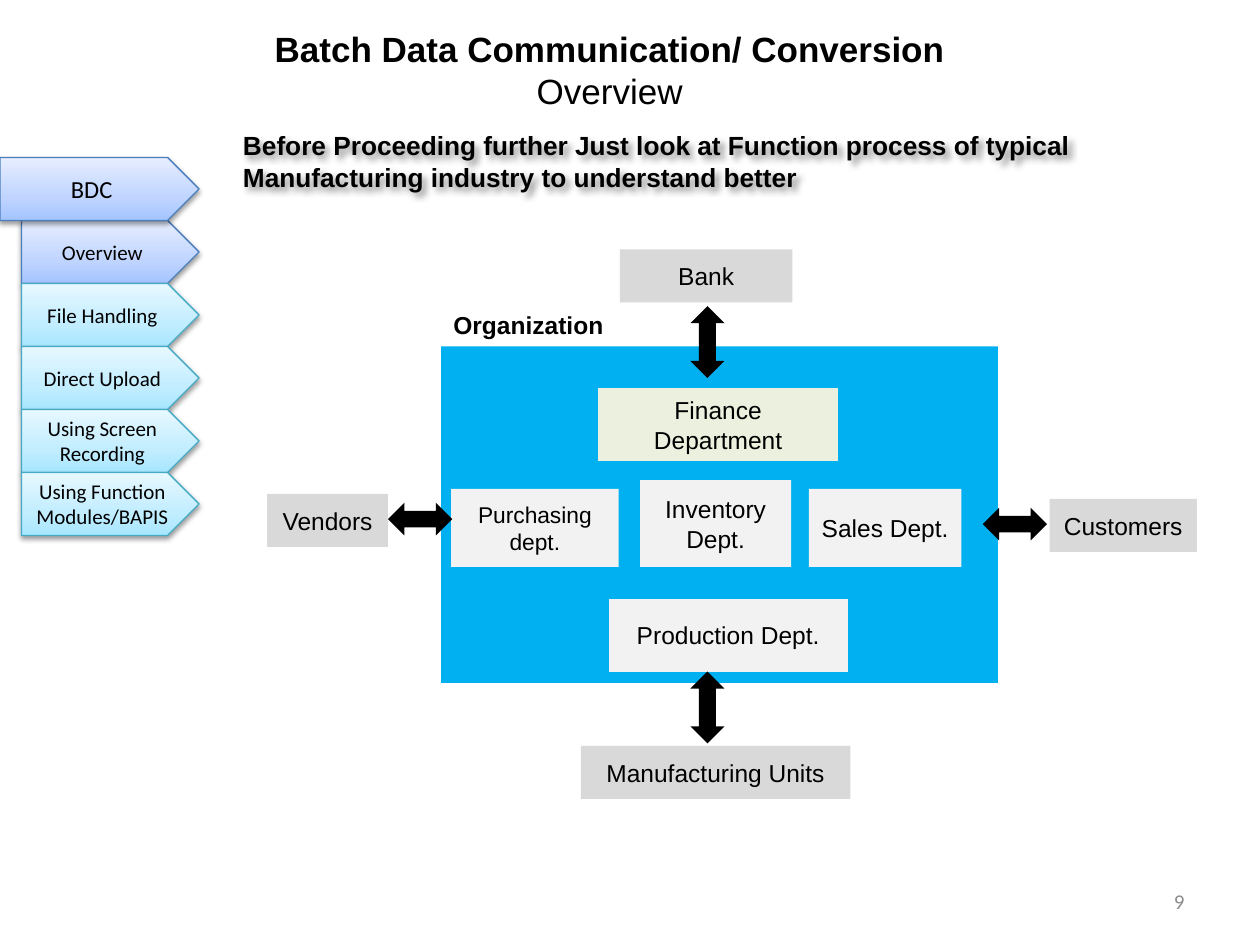
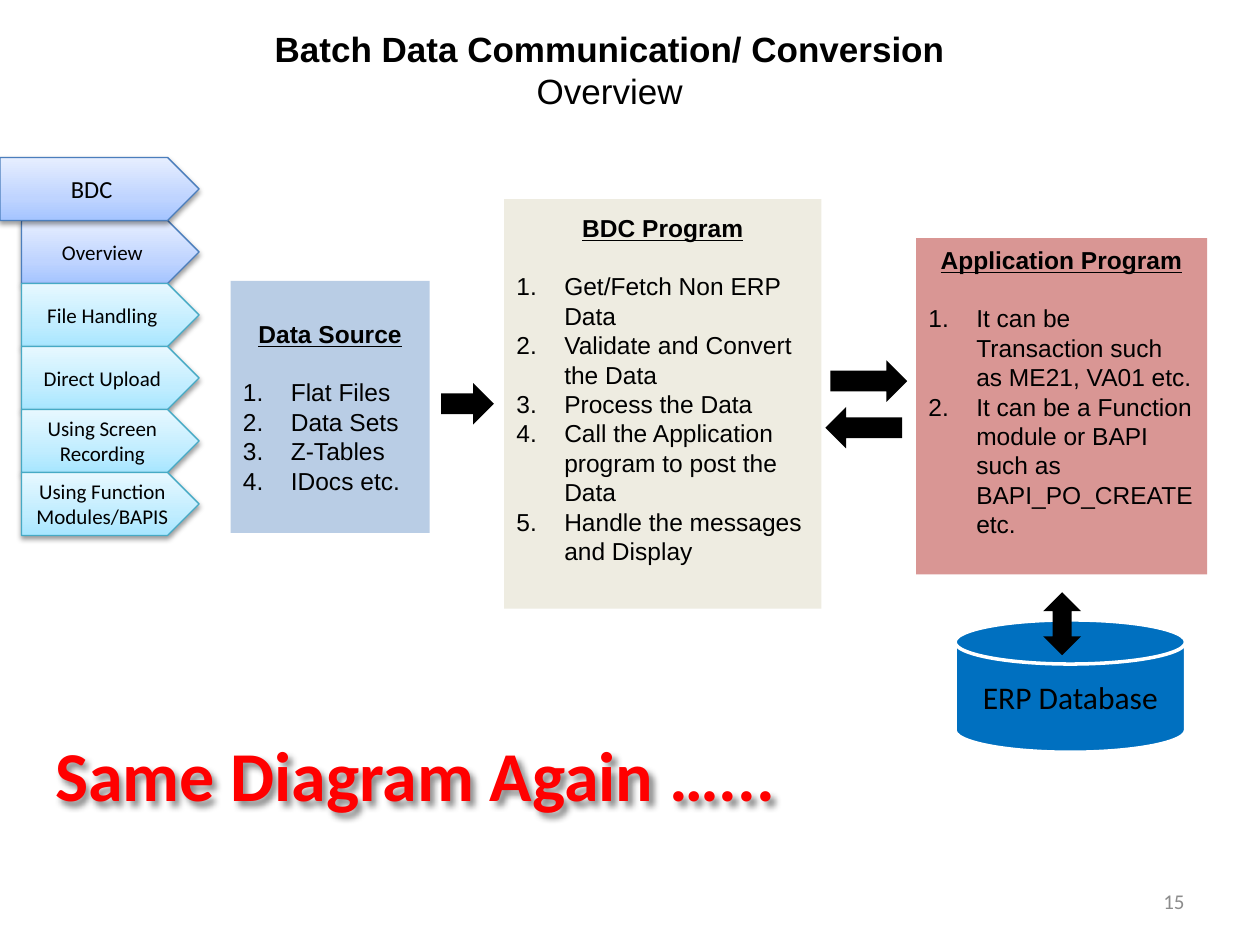
from collections import namedtuple

from lxml import etree
from pptx import Presentation
from pptx.dml.color import RGBColor
from pptx.enum.shapes import MSO_SHAPE
from pptx.enum.text import MSO_ANCHOR, PP_ALIGN
from pptx.oxml import parse_xml
from pptx.oxml.ns import nsdecls, qn
from pptx.util import Inches, Pt

Box = namedtuple("Box", "left top width height")

BLACK, WHITE, RED, GREY = "000000", "FFFFFF", "FF0000", "8C8C8C"
PARTNER, DEPARTMENT, FINANCE, ORGANIZATION = "D9D9D9", "F2F2F2", "EBF1DE", "00B0F0"
SOURCE, PROGRAM, APPLICATION, DATABASE = "B9CDE5", "EEECE1", "D99694", "0070C0"
ACTIVE = {"stops": ("A4C4FF", "BFD4FF", "E6EEFF"), "edge": "4B7EBC"}
PENDING = {"stops": ("A7E6FF", "C1EDFF", "E7F8FF"), "edge": "46AAC5"}
STOP_POSITIONS = (0, 35, 100)

LABEL = {"name": "Arial", "size": Pt(14), "bold": False}
HEADING = {**LABEL, "bold": True}
UNDERLINED = {**HEADING, "underline": True}
TITLE = {**HEADING, "size": Pt(20)}
SUBTITLE = {**TITLE, "bold": False}
LEAD = {**HEADING, "size": Pt(15)}
SMALL_LABEL = {**LABEL, "size": Pt(13)}
TAB = {"name": "Calibri", "size": Pt(12)}
MAIN_TAB = {**TAB, "size": Pt(14)}
DATABASE_LABEL = {**TAB, "size": Pt(18)}
CLOSING = {**TAB, "size": Pt(40), "bold": True}

LINE = 0.23
LIST_INDENT = Inches(0.38)
CONTENTS = ("Overview", "File Handling", "Direct Upload",
            "Using Screen Recording", "Using Function Modules/BAPIS")


def rgb(value):
    return RGBColor.from_string(value)


def inside(box, left, top, width, height):
    """Turn offsets from the corner of a box into a box on the slide."""
    return Box(box.left + left, box.top + top, width, height)


def write(frame, text, style, align=PP_ALIGN.CENTER, color=BLACK):
    """Fill the empty first paragraph, or append one, and return it."""
    first = frame.paragraphs[0]
    paragraph = frame.add_paragraph() if first.runs else first
    paragraph.text = text
    paragraph.alignment = align
    for run in paragraph.runs:
        run.font.color.rgb = rgb(color)
        for attribute, value in style.items():
            setattr(run.font, attribute, value)
    return paragraph


def add_text_box(slide, box, wrap=True):
    text_box = slide.shapes.add_textbox(*map(Inches, box))
    text_box.text_frame.word_wrap = wrap
    return text_box


def add_block(slide, preset, box, fill, text="", style=LABEL):
    block = slide.shapes.add_shape(preset, *map(Inches, box))
    block.shadow.inherit = False
    block.fill.solid()
    block.fill.fore_color.rgb = rgb(fill)
    block.line.fill.background()
    block.text_frame.word_wrap = True
    block.text_frame.vertical_anchor = MSO_ANCHOR.MIDDLE
    if text:
        write(block.text_frame, text, style)
    return block


def add_shadow(shape, blur, distance, angle, alpha):
    properties = shape._element.spPr
    for effects in properties.findall(qn("a:effectLst")):
        properties.remove(effects)
    properties.append(parse_xml(
        f'<a:effectLst {nsdecls("a")}><a:outerShdw blurRad="{Pt(blur)}" '
        f'dist="{Pt(distance)}" dir="{angle * 60000}" algn="tl" rotWithShape="0">'
        f'<a:srgbClr val="{BLACK}"><a:alpha val="{alpha * 1000}"/></a:srgbClr>'
        '</a:outerShdw></a:effectLst>'))


def set_gradient(shape, colors):
    """Shade from the first colour at the bottom to the last at the top."""
    stops = "".join(
        f'<a:gs pos="{position * 1000}"><a:srgbClr val="{color}"/></a:gs>'
        for position, color in zip(STOP_POSITIONS, colors))
    solid = shape._element.spPr.find(qn("a:solidFill"))
    solid.getparent().replace(solid, parse_xml(
        f'<a:gradFill {nsdecls("a")} rotWithShape="1"><a:gsLst>{stops}</a:gsLst>'
        '<a:lin ang="16200000" scaled="0"/></a:gradFill>'))


def add_tab(slide, box, text, palette, style=TAB):
    tab = add_block(slide, MSO_SHAPE.PENTAGON, box, palette["stops"][0], text, style)
    set_gradient(tab, palette["stops"])
    tab.line.color.rgb = rgb(palette["edge"])
    tab.line.width = Pt(0.75)
    add_shadow(tab, 3.1, 1.6, 90, 38)


def add_contents(slide, box, indent=0.17):
    """Stack the topic tabs below the main tab, which overlaps the first."""
    step = box.height / (len(CONTENTS) + 1)
    for row, topic in enumerate(CONTENTS, start=1):
        add_tab(slide, inside(box, indent, row * step, box.width - indent, step),
                topic, ACTIVE if row == 1 else PENDING)
        if row == 1:
            add_tab(slide, box._replace(height=step), "BDC", ACTIVE, MAIN_TAB)


def add_title(slide, box):
    frame = add_text_box(slide, box, wrap=False).text_frame
    write(frame, "Batch Data Communication/ Conversion", TITLE)
    write(frame, "Overview", SUBTITLE)


def add_page_number(slide, box, number):
    frame = add_text_box(slide, box).text_frame
    frame.vertical_anchor = MSO_ANCHOR.MIDDLE
    write(frame, str(number), TAB, PP_ALIGN.RIGHT, GREY)


def add_base_slide(deck, number):
    slide = deck.slides.add_slide(deck.slide_layouts[6])
    add_title(slide, Box(2.06, 0.17, 5.56, 0.77))
    add_page_number(slide, Box(7.17, 6.95, 2.33, 0.4), number)
    add_contents(slide, Box(0, 1.25, 1.58, 3))
    return slide


def add_statement(slide, box, text, style, color=BLACK, wrap=True):
    """Write left-aligned text with a soft shadow."""
    statement = add_text_box(slide, box, wrap)
    write(statement.text_frame, text, style, PP_ALIGN.LEFT, color)
    add_shadow(statement, 4, 3, 45, 45)


def add_organization(slide, box):
    add_block(slide, MSO_SHAPE.RECTANGLE, box, ORGANIZATION)
    caption = add_text_box(slide, inside(box, 0, -0.34, 1.6, 0.33))
    write(caption.text_frame, "Organization", HEADING, PP_ALIGN.LEFT)
    process, plain = MSO_SHAPE.FLOWCHART_PROCESS, MSO_SHAPE.RECTANGLE
    departments = (
        ("Finance Department", process, (1.25, 0.33, 1.9, 0.58), FINANCE, LABEL),
        ("Purchasing dept.", plain, (0.08, 1.13, 1.33, 0.62), DEPARTMENT, SMALL_LABEL),
        ("Sales Dept.", plain, (2.92, 1.13, 1.21, 0.62), DEPARTMENT, LABEL),
        ("Production Dept.", process, (1.33, 2, 1.9, 0.58), DEPARTMENT, LABEL),
        ("Inventory Dept.", plain, (1.58, 1.06, 1.2, 0.69), DEPARTMENT, LABEL),
    )
    for name, preset, offsets, fill, style in departments:
        add_block(slide, preset, inside(box, *offsets), fill, name, style)


def add_industry_diagram(slide, box):
    add_organization(slide, inside(box, 1.38, 0.77, 4.42, 2.67))
    partners = (("Bank", 2.8, 0, 1.37), ("Manufacturing Units", 2.49, 3.94, 2.14),
                ("Vendors", 0, 1.94, 0.96), ("Customers", 6.21, 1.98, 1.17))
    for name, left, top, width in partners:
        add_block(slide, MSO_SHAPE.RECTANGLE, inside(box, left, top, width, 0.42),
                  PARTNER, name)
    for left, top in ((0.96, 2.01), (5.68, 2.05)):
        add_block(slide, MSO_SHAPE.LEFT_RIGHT_ARROW,
                  inside(box, left, top, 0.51, 0.26), BLACK)
    for top in (0.45, 3.35):
        add_block(slide, MSO_SHAPE.UP_DOWN_ARROW,
                  inside(box, 3.36, top, 0.27, 0.57), BLACK)


def add_numbered_panel(slide, box, fill, heading, items, lift=LINE):
    """Centre a heading and numbered items, raised by half of lift."""
    frame = add_block(slide, MSO_SHAPE.RECTANGLE, box, fill, heading,
                      UNDERLINED).text_frame
    frame.margin_bottom = Inches(0.05 + lift)
    frame.paragraphs[0].space_after = Inches(LINE)
    for item in items:
        properties = write(frame, item, LABEL, PP_ALIGN.LEFT)._p.get_or_add_pPr()
        properties.set("marL", str(LIST_INDENT))
        properties.set("indent", str(-LIST_INDENT))
        etree.SubElement(properties, qn("a:buFont"), typeface="+mj-lt")
        etree.SubElement(properties, qn("a:buAutoNum"), type="arabicPeriod")


def add_data_flow(slide, box):
    add_numbered_panel(slide, inside(box, 2.17, 0, 2.52, 3.25), PROGRAM, "BDC Program", (
        "Get/Fetch Non ERP Data", "Validate and Convert the Data", "Process the Data",
        "Call the Application program to post the Data",
        "Handle the messages and Display"))
    add_numbered_panel(
        slide, inside(box, 5.44, 0.31, 2.31, 2.67), APPLICATION, "Application Program",
        ("It can be Transaction such as ME21, VA01 etc.",
         "It can be a Function module or BAPI such as BAPI_PO_CREATE etc."))
    add_numbered_panel(slide, inside(box, 0, 0.65, 1.58, 2), SOURCE, "Data Source",
                       ("Flat Files", "Data Sets", "Z-Tables", "IDocs etc."), lift=0)
    database = add_block(slide, MSO_SHAPE.FLOWCHART_MAGNETIC_DISK,
                         inside(box, 5.75, 3.34, 1.83, 1.05), DATABASE,
                         "ERP Database", DATABASE_LABEL)
    database.line.color.rgb = rgb(WHITE)
    database.line.width = Pt(2)
    arrows = ((MSO_SHAPE.UP_DOWN_ARROW, (6.45, 3.12, 0.3, 0.5)),
              (MSO_SHAPE.RIGHT_ARROW, (4.76, 1.28, 0.61, 0.33)),
              (MSO_SHAPE.LEFT_ARROW, (4.72, 1.65, 0.61, 0.33)),
              (MSO_SHAPE.RIGHT_ARROW, (1.67, 1.46, 0.42, 0.33)))
    for preset, offsets in arrows:
        add_block(slide, preset, inside(box, *offsets), BLACK)


def main():
    deck = Presentation()
    deck.slide_width, deck.slide_height = Inches(10), Inches(7.5)

    industry = add_base_slide(deck, 9)
    add_statement(industry, Box(1.83, 0.98, 8.25, 0.61),
                  "Before Proceeding further Just look at Function process of typical\v"
                  "Manufacturing industry to understand better", LEAD)
    add_industry_diagram(industry, Box(2.12, 1.98, 7.38, 4.36))

    data_flow = add_base_slide(deck, 15)
    add_data_flow(data_flow, Box(1.83, 1.58, 7.75, 4.39))
    add_statement(data_flow, Box(0.34, 5.76, 5.98, 0.77), "Same Diagram Again …...",
                  CLOSING, RED, wrap=False)

    deck.save("out.pptx")


if __name__ == "__main__":
    main()
